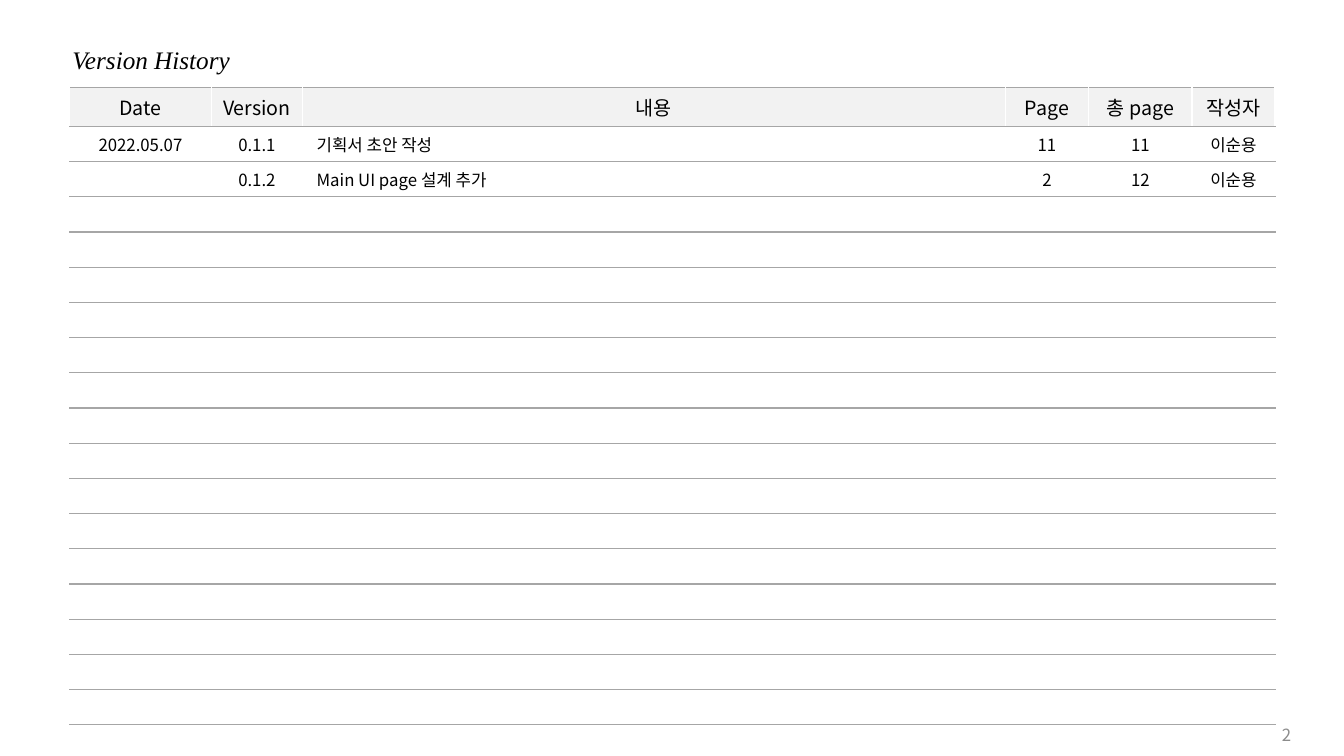
from pptx import Presentation
from pptx.dml.color import RGBColor
from pptx.enum.text import MSO_ANCHOR as Anchor, MSO_AUTO_SIZE as AutoSize, PP_ALIGN as Align
from pptx.oxml import parse_xml
from pptx.oxml.ns import nsdecls, qn
from pptx.util import Cm, Pt

SANS, SERIF = "Noto Sans CJK KR", "Times New Roman"
BLACK, WHITE, GRAY, RULE, BAND = "000000", "FFFFFF", "8C8C8C", "A6A6A6", "F2F2F2"
TITLE, PAGE_NUMBER = "Version History", "2"
HEADER = ["Date", "Version", "내용", "Page", "총 page", "작성자"]
HISTORY = [
    ["2022.05.07", "0.1.1", " 기획서 초안 작성", "11", "11", "이순용"],
    ["", "0.1.2", " Main UI page 설계 추가", "2", "12", "이순용"],
]
WIDTHS = [3.56, 2.31, 17.7, 2.11, 2.6, 2.09]
ROW_COUNT, NOTE_COLUMN = 18, 2
TABLE_LEFT, TABLE_TOP, TABLE_HEIGHT = Cm(1.76), Cm(2.21), Cm(15.98)
BORDERS = {"L": WHITE, "R": WHITE, "T": RULE, "B": RULE}


def rgb(color):
    return RGBColor.from_string(color)


def write(tf, text, size=12, font=SANS, color=BLACK, align=Align.CENTER, italic=None):
    p = tf.paragraphs[0]
    p.alignment = align
    if not text:
        p._p.get_or_add_endParaRPr().set("sz", str(size * 100))
        return
    r = p.add_run()
    r.text = text
    r.font.size, r.font.name, r.font.italic = Pt(size), font, italic
    r.font.color.rgb = rgb(color)
    east_asian = parse_xml(f'<a:ea {nsdecls("a")} typeface="{font}"/>')
    r._r.rPr.find(qn("a:latin")).addnext(east_asian)


def add_borders(cell):
    tcPr = cell._tc.get_or_add_tcPr()
    for side, color in BORDERS.items():
        tcPr.append(parse_xml(
            f'<a:ln{side} {nsdecls("a")} w="12700"><a:solidFill>'
            f'<a:srgbClr val="{color}"/></a:solidFill></a:ln{side}>'))


def add_title(s):
    title = s.shapes.title
    title.left, title.top, title.width, title.height = Cm(0.71), Cm(1.14), Cm(6.2), Cm(0.69)
    tf = title.text_frame
    tf.auto_size, tf.vertical_anchor = AutoSize.NONE, Anchor.MIDDLE
    write(tf, TITLE, size=18, font=SERIF, italic=True)


def add_history(s):
    table = s.shapes.add_table(ROW_COUNT, len(WIDTHS), TABLE_LEFT, TABLE_TOP,
                               Cm(sum(WIDTHS)), TABLE_HEIGHT).table
    table.first_row = table.horz_banding = False
    for column, width in zip(table.columns, WIDTHS):
        column.width = Cm(width)
    blank = [[""] * len(WIDTHS)] * (ROW_COUNT - 1 - len(HISTORY))
    for i, values in enumerate([HEADER] + HISTORY + blank):
        for j, text in enumerate(values):
            cell = table.cell(i, j)
            cell.vertical_anchor = Anchor.MIDDLE
            add_borders(cell)
            if i == 0:
                cell.fill.solid()
                cell.fill.fore_color.rgb = rgb(BAND)
            else:
                cell.fill.background()
            write(cell.text_frame, text, size=12 if i else 14,
                  align=Align.LEFT if i and j == NOTE_COLUMN else Align.CENTER)


def add_page_number(s):
    tf = s.shapes.add_textbox(Cm(25.17), Cm(18.01), Cm(7.62), Cm(1.02)).text_frame
    tf.word_wrap, tf.vertical_anchor = True, Anchor.MIDDLE
    write(tf, PAGE_NUMBER, color=GRAY, align=Align.RIGHT)


def main():
    prs = Presentation()
    prs.slide_width, prs.slide_height = Cm(33.87), Cm(19.05)
    s = prs.slides.add_slide(prs.slide_layouts[5])
    add_title(s)
    add_history(s)
    add_page_number(s)
    prs.save("out.pptx")


if __name__ == "__main__":
    main()
